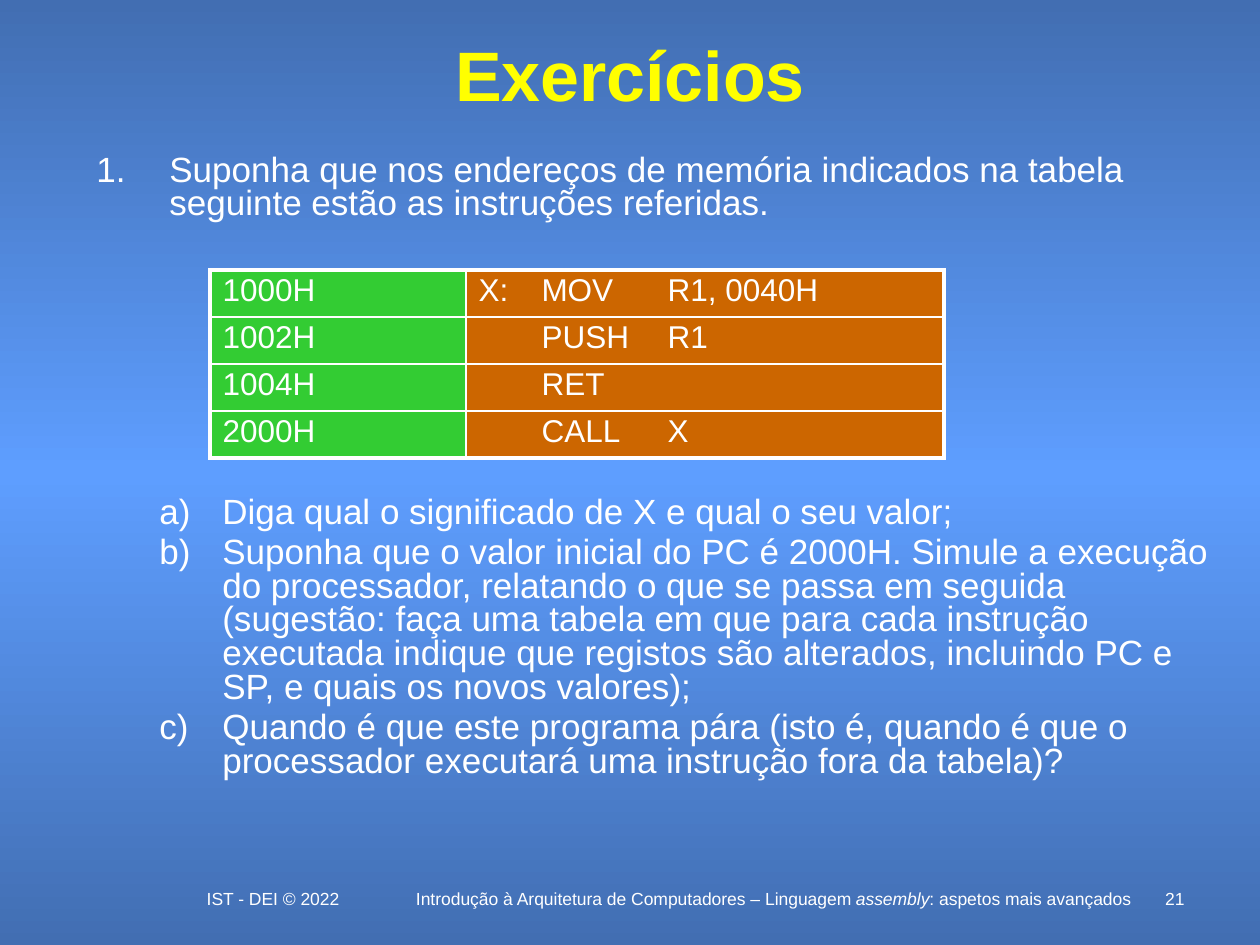
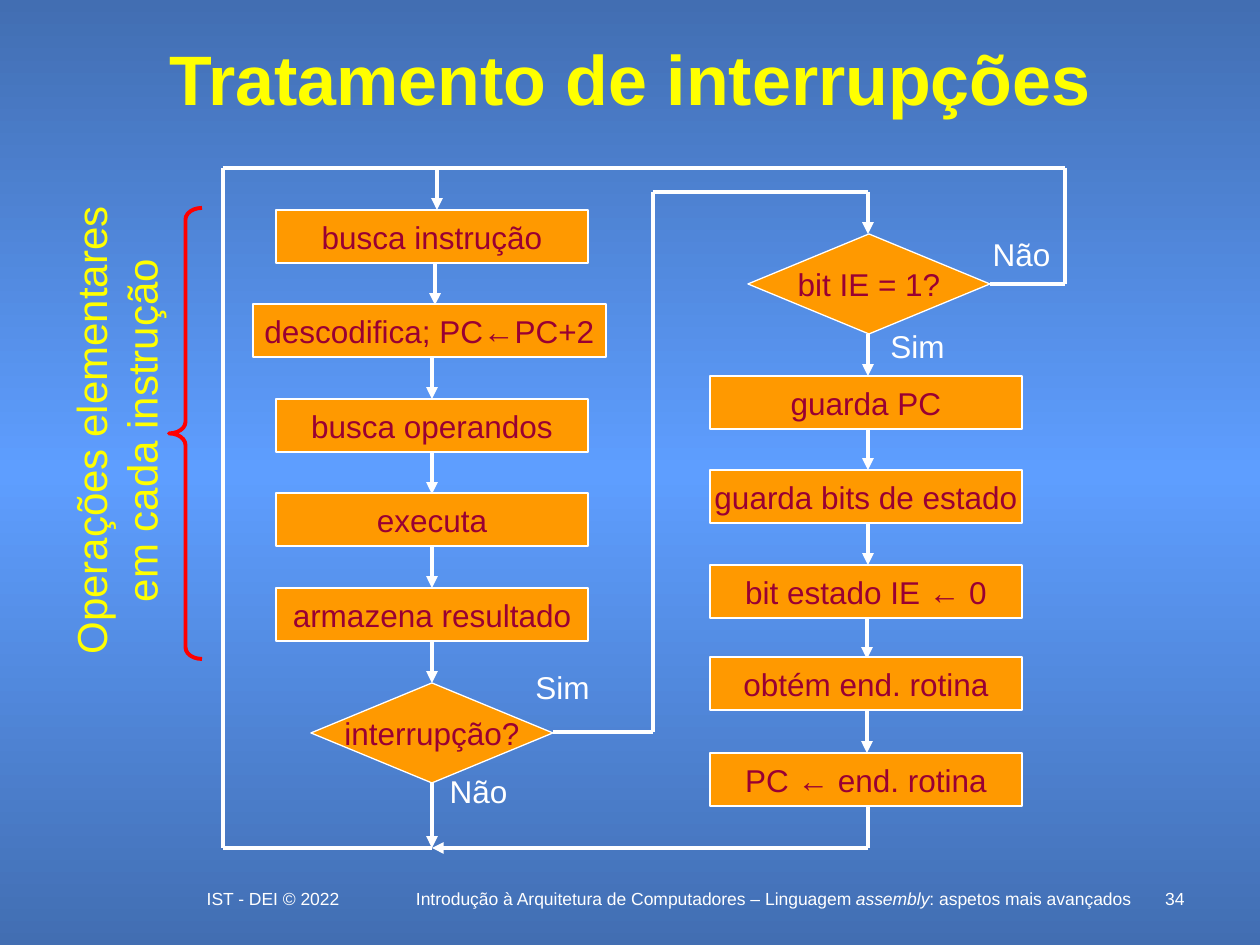
import dataclasses
import itertools
import typing

import lxml.etree
import pptx
import pptx.dml.color
import pptx.enum.shapes
import pptx.enum.text
import pptx.oxml.ns
import pptx.shapes.base
import pptx.slide
import pptx.util

Kind = pptx.enum.shapes.MSO_SHAPE
Side = pptx.enum.text.PP_ALIGN
Hold = pptx.enum.text.MSO_ANCHOR
qn = pptx.oxml.ns.qn


@dataclasses.dataclass(frozen=True)
class Theme:
    font: str = "Arial"
    dark: str = "426EB2"
    light: str = "5E9EFF"
    white: str = "FFFFFF"
    head: str = "FFFF00"
    node: str = "FF9900"
    ink: str = "990033"
    green: str = "33CC33"
    brown: str = "CC6600"
    red: str = "FF0000"
    big: int = 40
    side: int = 24
    body: int = 20
    flow: int = 18
    foot: int = 10
    thin: float = 0.75
    rule: float = 1
    bold: float = 2.25
    lead: float = 0.8


class Box(typing.NamedTuple):
    x: int
    y: int
    w: int
    h: int


class Node(typing.NamedTuple):
    kind: Kind
    box: Box
    text: str


class Route(typing.NamedTuple):
    points: tuple[tuple[int, int], ...]
    arrow: bool = True


class Note(typing.NamedTuple):
    text: str
    box: Box


THEME = Theme()
WIDE, HIGH = 1260, 945
SCALE = 914400 / 126


def px(n: float) -> pptx.util.Emu:
    return pptx.util.Emu(round(n * SCALE))


def tint(code: str) -> pptx.dml.color.RGBColor:
    return pptx.dml.color.RGBColor.from_string(code)


def sub(base: typing.Any, tag: str, **keys: str) -> typing.Any:
    return lxml.etree.SubElement(base, qn(tag), keys)


# Text

def write(para: typing.Any, text: str, size: int, hue: str = THEME.white,
          bold: bool = False, slant: bool = False) -> None:
    run = para.add_run()
    run.text = text
    font = run.font
    font.name, font.size = THEME.font, pptx.util.Pt(size)
    font.bold, font.italic = bold, slant
    font.color.rgb = tint(hue)


def label(slide: pptx.slide.Slide, box: Box, wrap: bool = True,
          align: Side = Side.CENTER) -> pptx.shapes.base.BaseShape:
    shape = slide.shapes.add_textbox(*map(px, box))
    shape.text_frame.word_wrap = wrap
    shape.text_frame.paragraphs[0].alignment = align
    return shape


def tally(slide: pptx.slide.Slide, box: Box, style: str, left: int,
          hang: int, items: tuple[str, ...]) -> None:
    """Add a numbered list with hanging indents."""
    frame = label(slide, box, align=Side.LEFT).text_frame
    for i, text in enumerate(items):
        para = frame.add_paragraph() if i else frame.paragraphs[0]
        props = para._p.get_or_add_pPr()
        props.set("marL", str(px(left)))
        props.set("indent", str(px(-hang)))
        sub(props, "a:buFont", typeface=THEME.font)
        sub(props, "a:buAutoNum", type=style)
        para.line_spacing = THEME.lead
        if i:
            para.space_before = pptx.util.Pt(THEME.body * 0.2)
        write(para, text, THEME.body)


# Parts shared by the slides

def paint(deck: typing.Any) -> None:
    fill = deck.slide_master.background.fill
    fill.gradient()
    fill.gradient_angle = 270
    grad = deck.slide_master._element.find(".//" + qn("a:gradFill"))
    stops = grad.find(qn("a:gsLst"))
    for old in list(stops):
        stops.remove(old)
    for spot, hue in ((0, THEME.dark), (50, THEME.light), (100, THEME.dark)):
        stop = sub(stops, "a:gs", pos=str(spot * 1000))
        sub(stop, "a:srgbClr", val=hue)


def start(deck: typing.Any, title: str, top: int, page: int) -> pptx.slide.Slide:
    slide = deck.slides.add_slide(deck.slide_layouts[5])
    head = slide.shapes.title
    head.left, head.top, head.width, head.height = map(px, (84, top, 1092, 95))
    frame = head.text_frame
    frame.auto_size = pptx.enum.text.MSO_AUTO_SIZE.NONE
    frame.vertical_anchor = Hold.MIDDLE
    frame.paragraphs[0].alignment = Side.CENTER
    write(frame.paragraphs[0], title, THEME.big, THEME.head, bold=True)

    # Footer line
    para = label(slide, Box(399, 882, 749, 32)).text_frame.paragraphs[0]
    write(para, "Introdução à Arquitetura de Computadores – Linguagem ", THEME.foot)
    write(para, "assembly", THEME.foot, slant=True)
    write(para, ": aspetos mais avançados", THEME.foot)
    para = label(slide, Box(1144, 882, 53, 21), align=Side.RIGHT).text_frame.paragraphs[0]
    write(para, str(page), THEME.foot)
    para = label(slide, Box(168, 882, 210, 32)).text_frame.paragraphs[0]
    write(para, "IST - DEI © 2022", THEME.foot)
    return slide


# Table

def edge(cell: typing.Any, outer: dict[str, bool]) -> None:
    props = cell._tc.get_or_add_tcPr()
    for tag, out in outer.items():
        wide = pptx.util.Pt(THEME.bold if out else THEME.rule)
        line = sub(props, tag, w=str(wide))
        sub(sub(line, "a:solidFill"), "a:srgbClr", val=THEME.white)


def grid(slide: pptx.slide.Slide, box: Box, cols: tuple[int, ...],
         rows: tuple[tuple[str, ...], ...]) -> None:
    table = slide.shapes.add_table(len(rows), len(cols), *map(px, box)).table
    table.first_row = table.horz_banding = False
    for col, wide in zip(table.columns, cols):
        col.width = px(wide)
    for r, row in enumerate(rows):
        table.rows[r].height = px(box.h / len(rows))
        for c, text in enumerate(row):
            cell = table.cell(r, c)
            edge(cell, {"a:lnL": c == 0, "a:lnR": c == len(cols) - 1,
                        "a:lnT": r == 0, "a:lnB": r == len(rows) - 1})
            cell.fill.solid()
            cell.fill.fore_color.rgb = tint((THEME.green, THEME.brown)[c])
            cell.vertical_anchor = Hold.MIDDLE
            para = cell.text_frame.paragraphs[0]
            para.line_spacing = THEME.lead
            write(para, text, THEME.flow)


# Flow chart

def block(slide: pptx.slide.Slide, node: Node) -> None:
    shape = slide.shapes.add_shape(node.kind, *map(px, node.box))
    shape.shadow.inherit = False
    shape.fill.solid()
    shape.fill.fore_color.rgb = tint(THEME.node)
    shape.line.color.rgb = tint(THEME.white)
    shape.line.width = pptx.util.Pt(THEME.thin)
    frame = shape.text_frame
    frame.word_wrap = False
    frame.vertical_anchor = Hold.MIDDLE
    frame.paragraphs[0].alignment = Side.CENTER
    write(frame.paragraphs[0], node.text, THEME.flow, THEME.ink)


def trace(slide: pptx.slide.Slide, route: Route) -> None:
    """Draw one line per leg, with the arrowhead on the last."""
    for a, b in itertools.pairwise(route.points):
        line = slide.shapes.add_connector(
            pptx.enum.shapes.MSO_CONNECTOR.STRAIGHT, *map(px, a + b))
        line.line.color.rgb = tint(THEME.white)
        line.line.width = pptx.util.Pt(THEME.bold)
        sub(line._element.spPr, "a:effectLst")
    if route.arrow:
        sub(line.line._get_or_add_ln(), "a:tailEnd", type="triangle")


def drop(x: int, y: int, long: int = 42) -> Route:
    return Route(((x, y), (x, y + long)))


def step(x: int, y: int, text: str, wide: int = 312) -> Node:
    return Node(Kind.RECTANGLE, Box(x, y, wide, 53), text)


def test(x: int, y: int, text: str) -> Node:
    return Node(Kind.DIAMOND, Box(x, y, 242, 100), text)


LEFT = [210 + i * 189 // 2 for i in range(5)]
RIGHT = (376, 470, 565, 657, 753)
NODES = (
    step(276, LEFT[0], "busca instrução"),
    step(253, LEFT[1], "descodifica; PC←PC+2", 353),
    *(step(276, y, text) for y, text in zip(
        LEFT[2:], ("busca operandos", "executa", "armazena resultado"))),
    test(311, 683, "interrupção?"),
    test(748, 234, "bit IE = 1?"),
    *(step(710, y, text) for y, text in zip(
        RIGHT, ("guarda PC", "guarda bits de estado", "bit estado IE ← 0",
                "obtém end. rotina", "PC ← end. rotina"))),
)
ROUTES = (
    drop(435, LEFT[0] + 53),
    *(drop(432, y + 53) for y in LEFT[1:]),
    drop(432, 783, 65),
    *(drop(868, y) for y in (334, 428, 523)),
    *(drop(867, y) for y in (617, 711)),
    Route(((990, 284), (1065, 284), (1065, 168), (437, 168)), False),
    Route(((553, 732), (653, 732), (653, 192), (868, 192), (868, 234))),
    Route(((868, 806), (868, 848), (432, 848))),
    Route(((432, 848), (223, 848), (223, 168), (437, 168), (437, 210))),
)
NOTES = (
    Note("Sim", Box(877, 321, 81, 50)),
    Note("Não", Box(980, 229, 83, 50)),
    Note("Sim", Box(522, 662, 81, 50)),
    Note("Não", Box(437, 766, 83, 50)),
)


# Slides

def tasks(deck: typing.Any) -> None:
    slide = start(deck, "Exercícios", 26, 21)
    tally(slide, Box(84, 149, 1144, 85), "arabicPeriod", 73, 73, (
        "Suponha que nos endereços de memória indicados na tabela seguinte "
        "estão as instruções referidas.",))
    grid(slide, Box(210, 270, 734, 188), (256, 478), (
        ("1000H", "X:\tMOV\tR1, 0040H"),
        ("1002H", "\tPUSH\tR1"),
        ("1004H", "\tRET"),
        ("2000H", "\tCALL\tX")))
    tally(slide, Box(84, 491, 1144, 300), "alphaLcParenR", 126, 63, (
        "Diga qual o significado de X e qual o seu valor;",
        "Suponha que o valor inicial do PC é 2000H. Simule a execução do "
        "processador, relatando o que se passa em seguida (sugestão: faça uma "
        "tabela em que para cada instrução executada indique que registos são "
        "alterados, incluindo PC e SP, e quais os novos valores);",
        "Quando é que este programa pára (isto é, quando é que o processador "
        "executará uma instrução fora da tabela)?"))


def breaks(deck: typing.Any) -> None:
    slide = start(deck, "Tratamento de interrupções", 30, 34)
    for route in ROUTES:
        trace(slide, route)
    for node in NODES:
        block(slide, node)
    for note in NOTES:
        para = label(slide, note.box, wrap=False).text_frame.paragraphs[0]
        write(para, note.text, THEME.flow)

    # Brace and its upright caption
    brace = slide.shapes.add_shape(Kind.LEFT_BRACE, *map(px, (169, 208, 33, 451)))
    brace.adjustments[0] = 0.35
    brace.shadow.inherit = False
    brace.fill.background()
    brace.line.color.rgb = tint(THEME.red)
    brace.line.width = pptx.util.Pt(THEME.bold)
    side = label(slide, Box(-136, 373, 505, 115))
    side.rotation = 270
    write(side.text_frame.paragraphs[0], "Operações elementares em cada instrução",
          THEME.side, THEME.head)


def main() -> None:
    deck = pptx.Presentation()
    deck.slide_width, deck.slide_height = px(WIDE), px(HIGH)
    paint(deck)
    tasks(deck)
    breaks(deck)
    deck.save("out.pptx")


if __name__ == "__main__":
    main()
